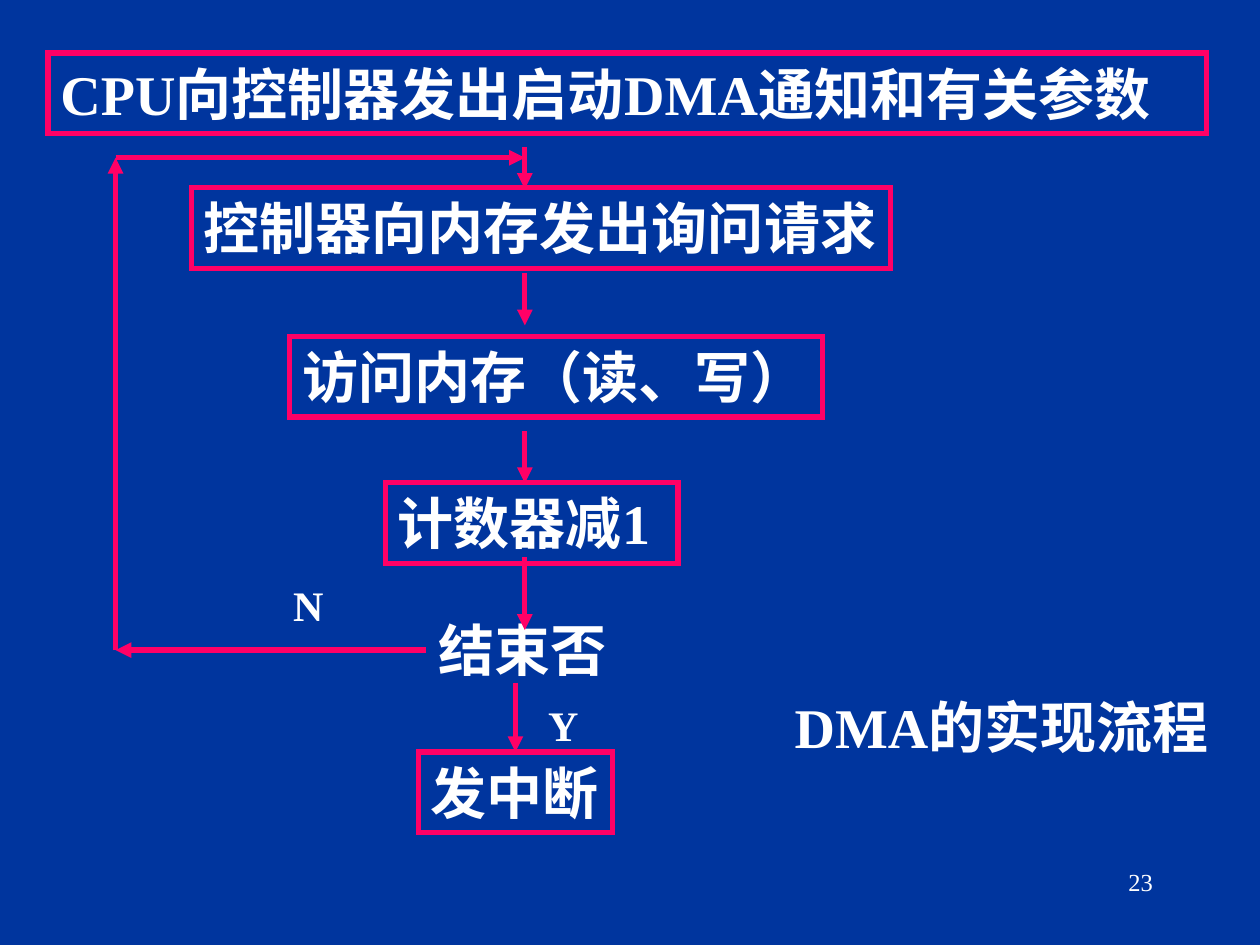
from lxml import etree
from pptx import Presentation
from pptx import util as u
from pptx.dml.color import RGBColor
from pptx.enum import shapes, text
from pptx.oxml.ns import qn

HUES = {"back": "00359E", "line": "FF0066", "text": "FFFFFF"}
FACE = "Times New Roman"
TALL = 1.63  # height of a step, cm
SHORT = 3.92  # width of a three-letter step, cm


def hue(name):
    return RGBColor.from_string(HUES[name])


def write(shape, words, size=32, bold=True, wrap=False, align=text.PP_ALIGN.LEFT):
    frame = shape.text_frame
    frame.word_wrap = wrap
    frame.vertical_anchor = text.MSO_ANCHOR.TOP
    if not wrap:
        frame.auto_size = text.MSO_AUTO_SIZE.SHAPE_TO_FIT_TEXT
    para = frame.paragraphs[0]
    para.text = words
    para.alignment = align
    font = para.font
    font.name, font.size, font.bold = FACE, u.Pt(size), bold
    font.color.rgb = hue("text")


def stroke(shape, tag, **marks):
    shape.line.color.rgb = hue("line")
    shape.line.width = u.Pt(3)
    etree.SubElement(shape.line._get_or_add_ln(), qn(tag), **marks)


def label(slide, box, words, **style):
    shape = slide.shapes.add_textbox(*map(u.Cm, box))
    write(shape, words, **style)
    return shape


def frame(slide, box, words):
    shape = slide.shapes.add_shape(shapes.MSO_SHAPE.RECTANGLE, *map(u.Cm, box))
    shape.shadow.inherit = False
    shape.fill.background()
    stroke(shape, "a:miter", lim="800000")
    write(shape, words)
    return shape


def arrow(slide, *ends):
    link = slide.shapes.add_connector(shapes.MSO_CONNECTOR.STRAIGHT, *map(u.Cm, ends))
    stroke(link, "a:tailEnd", type="triangle")
    etree.SubElement(link._element.spPr, qn("a:effectLst"))
    return link


def flow(slide, left, top):
    # Steps: offset from the corner, width, words
    steps = [
        (frame, 0, 0, 23.35, "CPU向控制器发出启动DMA通知和有关参数"),
        (frame, 2.89, 2.71, 14.1, "控制器向内存发出询问请求"),
        (frame, 4.87, 5.71, 10.74, "访问内存（读、写）"),
        (frame, 6.8, 8.66, 5.9, "计数器减1"),
        (label, 7.62, 11.22, SHORT, "结束否"),
        (frame, 7.46, 14.09, SHORT, "发中断"),
    ]
    *_, test, stop = [make(slide, (left + x, top + y, wide, TALL), words)
                      for make, x, y, wide, words in steps]

    # Downward arrows
    mid = left + 9.61
    for y1, y2 in [(1.89, 2.74), (4.43, 5.49), (7.62, 8.67), (10.16, 11.63)]:
        arrow(slide, mid, top + y1, mid, top + y2)
    yes = left + 7.46 + SHORT / 2
    arrow(slide, yes, top + 12.69, yes, top + 14.09).end_connect(stop, 0)

    # Loop back to the request
    side, high, low = left + 1.36, top + 2.11, top + 11.22 + TALL / 2
    arrow(slide, left + 7.62, low, side, low).begin_connect(test, 1)
    arrow(slide, side, low, side, high)
    arrow(slide, side, high, mid, high)

    # Branch labels
    for x, y, words in [(4.69, 10.49, "N"), (9.83, 12.9, "Y")]:
        label(slide, (left + x, top + y, 1.12, 1.27), words, size=24)


def title(slide, box):
    label(slide, box, "DMA的实现流程")


def number(slide, box):
    label(slide, box, "23", size=14, bold=False, wrap=True, align=text.PP_ALIGN.RIGHT)


def main():
    deck = Presentation()
    deck.slide_width, deck.slide_height = u.Cm(25.4), u.Cm(19.05)
    slide = deck.slides.add_slide(deck.slide_layouts[6])
    fill = slide.background.fill
    fill.solid()
    fill.fore_color.rgb = hue("back")
    flow(slide, 0.97, 1.07)
    title(slide, (15.77, 13.84, 9.25, TALL))
    number(slide, (18.21, 17.35, 5.28, 1.27))
    deck.save("out.pptx")


if __name__ == "__main__":
    main()
